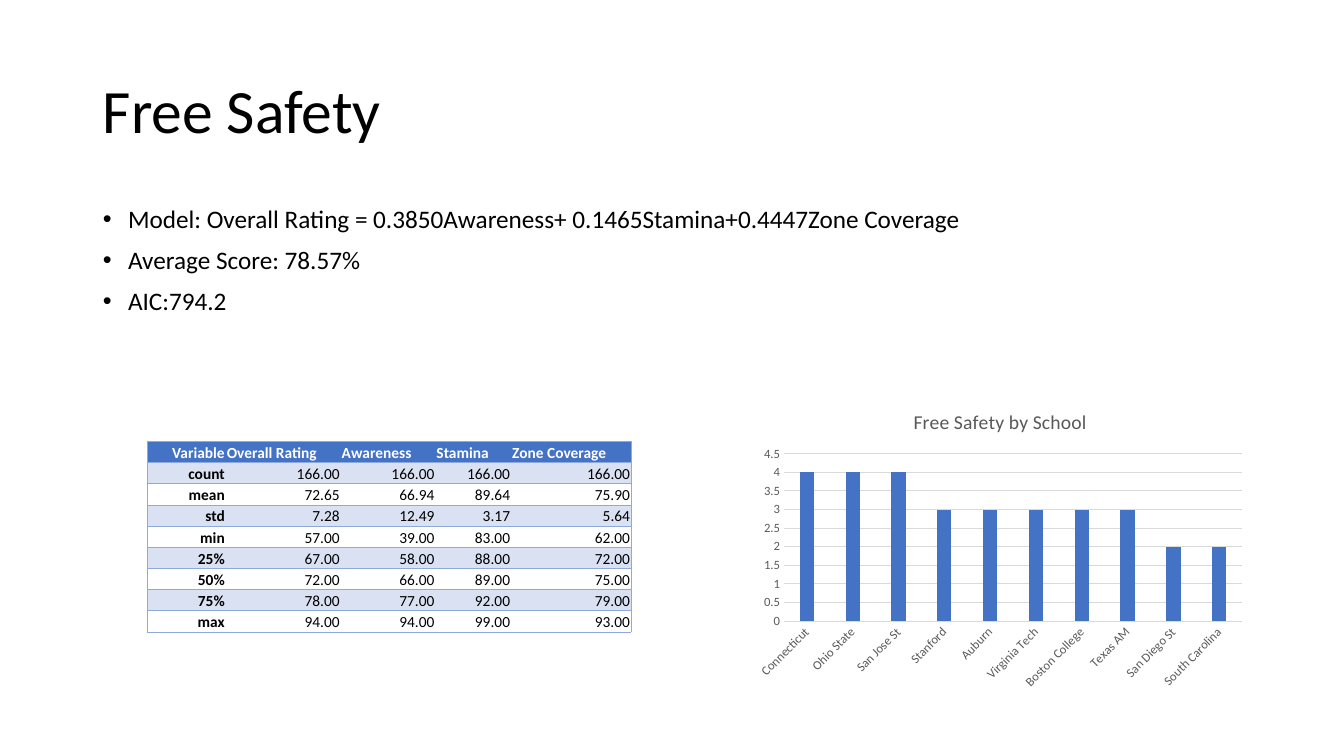
from dataclasses import dataclass

from lxml import etree
from pptx import Presentation
from pptx.chart.data import CategoryChartData
from pptx.dml.color import RGBColor
from pptx.enum.chart import XL_CHART_TYPE, XL_TICK_MARK
from pptx.enum.text import MSO_ANCHOR, MSO_AUTO_SIZE, PP_ALIGN
from pptx.oxml.ns import qn
from pptx.util import Inches, Pt

COLUMNS = XL_CHART_TYPE.COLUMN_CLUSTERED
NO_TICK = XL_TICK_MARK.NONE
LEFT, RIGHT = PP_ALIGN.LEFT, PP_ALIGN.RIGHT
TOP, MIDDLE, BOTTOM = MSO_ANCHOR.TOP, MSO_ANCHOR.MIDDLE, MSO_ANCHOR.BOTTOM
NO_FIT = MSO_AUTO_SIZE.NONE
PLAIN_TABLE = "{2D5ABB26-0587-4C30-8999-92F81FD0307C}"


@dataclass(frozen=True)
class Theme:
    font: str = "Calibri"
    text: str = "000000"
    light: str = "FFFFFF"
    accent: str = "4472C4"
    band: str = "D9E1F2"
    border: str = "8EA9DB"
    muted: str = "595959"
    grid: str = "D9D9D9"
    title_size: float = 44
    body_size: float = 18
    table_size: float = 11
    chart_title_size: float = 14
    axis_size: float = 9


BULLETS = [
    "Model: Overall Rating = 0.3850Awareness+ 0.1465Stamina+0.4447Zone Coverage",
    "Average Score: 78.57%",
    "AIC:794.2",
]
HEADINGS = ["Variable", "Overall Rating", "Awareness", "Stamina", "Zone Coverage"]
STATISTICS = [
    ("count", 166, 166, 166, 166),
    ("mean", 72.65, 66.94, 89.64, 75.90),
    ("std", 7.28, 12.49, 3.17, 5.64),
    ("min", 57, 39, 83, 62),
    ("25%", 67, 58, 88, 72),
    ("50%", 72, 66, 89, 75),
    ("75%", 78, 77, 92, 79),
    ("max", 94, 94, 99, 93),
]
COLUMN_WIDTHS = [0.78, 1.14, 0.94, 0.75, 1.19]
ROW_HEIGHT = 0.21
SCHOOLS = {
    "Connecticut": 4, "Ohio State": 4, "San Jose St": 4, "Stanford": 3, "Auburn": 3,
    "Virginia Tech": 3, "Boston College": 3, "Texas AM": 3, "San Diego St": 2,
    "South Carolina": 2,
}


def style_font(font, face, size, color, bold=False):
    font.name = face
    font.size = Pt(size)
    font.bold = bold
    font.color.rgb = RGBColor.from_string(color)


def write(para, text, *, face, size, color, bold=False, align=LEFT, spacing=None, bullet=False):
    para.alignment = align
    if spacing:
        para.line_spacing = spacing
    if bullet:
        properties = para._p.get_or_add_pPr()
        properties.set("marL", str(Inches(0.25)))
        properties.set("indent", str(-Inches(0.25)))
        etree.SubElement(properties, qn("a:buFont"), typeface="Arial")
        etree.SubElement(properties, qn("a:buChar"), char="•")
    span = para.add_run()
    span.text = text
    style_font(span.font, face, size, color, bold)


class SlideBuilder:
    def __init__(self, page, theme):
        self.page = page
        self.theme = theme

    def place(self, box, left, top, width, height, anchor):
        box.left, box.top = Inches(left), Inches(top)
        box.width, box.height = Inches(width), Inches(height)
        frame = box.text_frame
        frame.word_wrap = True
        frame.auto_size = NO_FIT
        frame.vertical_anchor = anchor
        return frame

    def title(self, text, *bounds):
        frame = self.place(self.page.shapes.title, *bounds, MIDDLE)
        write(frame.paragraphs[0], text, face=self.theme.font, size=self.theme.title_size,
              color=self.theme.text, spacing=0.9)

    def bullets(self, lines, *bounds):
        frame = self.place(self.page.placeholders[1], *bounds, TOP)
        for index, line in enumerate(lines):
            para = frame.add_paragraph() if index else frame.paragraphs[0]
            para.space_before = Pt(10 if index else 0)
            write(para, line, face=self.theme.font, size=self.theme.body_size,
                  color=self.theme.text, spacing=0.9, bullet=True)

    def borders(self, cell, sides):
        properties = cell._tc.get_or_add_tcPr()
        for side in sides:
            line = etree.SubElement(properties, qn(f"a:ln{side}"), w=str(Pt(0.5)))
            fill = etree.SubElement(line, qn("a:solidFill"))
            etree.SubElement(fill, qn("a:srgbClr"), val=self.theme.border)

    def table(self, headings, records, left, top, widths, row_height):
        theme = self.theme
        rows = [headings] + [[name] + [f"{value:.2f}" for value in values]
                             for name, *values in records]
        frame = self.page.shapes.add_table(
            len(rows), len(widths), Inches(left), Inches(top),
            Inches(sum(widths)), Inches(row_height * len(rows)))
        table = frame.table
        table._tbl.tblPr.find(qn("a:tableStyleId")).text = PLAIN_TABLE
        for column, width in zip(table.columns, widths):
            column.width = Inches(width)
        last = len(widths) - 1
        for row_index, values in enumerate(rows):
            table.rows[row_index].height = Inches(row_height)
            header = row_index == 0
            for column_index, text in enumerate(values):
                first = column_index == 0
                cell = table.cell(row_index, column_index)
                cell.margin_left = cell.margin_right = cell.margin_top = Inches(0.01)
                cell.margin_bottom = 0
                cell.vertical_anchor = BOTTOM
                sides = ["L"] * first + ["R"] * (column_index == last) + ["T", "B"]
                self.borders(cell, sides)
                if row_index % 2 or header:
                    cell.fill.solid()
                    cell.fill.fore_color.rgb = RGBColor.from_string(
                        theme.accent if header else theme.band)
                else:
                    cell.fill.background()
                write(cell.text_frame.paragraphs[0], text, face=theme.font,
                      size=theme.table_size, color=theme.light if header else theme.text,
                      bold=header or first, align=LEFT if header and not first else RIGHT)

    def column_chart(self, heading, values, left, top, width, height):
        theme = self.theme
        data = CategoryChartData()
        data.categories = list(values)
        data.add_series("Series 1", list(values.values()))
        chart = self.page.shapes.add_chart(
            COLUMNS, Inches(left), Inches(top), Inches(width), Inches(height), data).chart
        style_font(chart.font, theme.font, 10, theme.text)
        chart.has_legend = False
        chart.has_title = True
        write(chart.chart_title.text_frame.paragraphs[0], heading, face=theme.font,
              size=theme.chart_title_size, color=theme.muted, align=PP_ALIGN.CENTER)
        plot = chart.plots[0]
        plot.gap_width, plot.overlap = 219, -27
        plot.vary_by_categories = False
        fill = plot.series[0].format.fill
        fill.solid()
        fill.fore_color.rgb = RGBColor.from_string(theme.accent)
        category_axis, value_axis = chart.category_axis, chart.value_axis
        for axis in (category_axis, value_axis):
            axis.major_tick_mark = axis.minor_tick_mark = NO_TICK
            style_font(axis.tick_labels.font, theme.font, theme.axis_size, theme.muted)
        value_axis.minimum_scale, value_axis.maximum_scale = 0, 4.5
        value_axis.major_unit = 0.5
        value_axis.has_major_gridlines = True
        value_axis.format.line.fill.background()
        for line in (category_axis.format.line, value_axis.major_gridlines.format.line):
            line.width = Pt(0.75)
            line.color.rgb = RGBColor.from_string(theme.grid)
        label_body = category_axis._element.find(qn("c:txPr")).find(qn("a:bodyPr"))
        label_body.set("rot", str(-45 * 60000))
        label_body.set("vert", "horz")


def main():
    deck = Presentation()
    deck.slide_width, deck.slide_height = Inches(13.33), Inches(7.5)
    builder = SlideBuilder(deck.slides.add_slide(deck.slide_layouts[1]), Theme())
    builder.title("Free Safety", 0.92, 0.4, 11.5, 1.45)
    builder.bullets(BULLETS, 0.92, 2, 11.5, 4.76)
    builder.column_chart("Free Safety by School", SCHOOLS, 7.42, 3.9, 5, 3)
    builder.table(HEADINGS, STATISTICS, 1.46, 4.38, COLUMN_WIDTHS, ROW_HEIGHT)
    deck.save("out.pptx")


if __name__ == "__main__":
    main()
